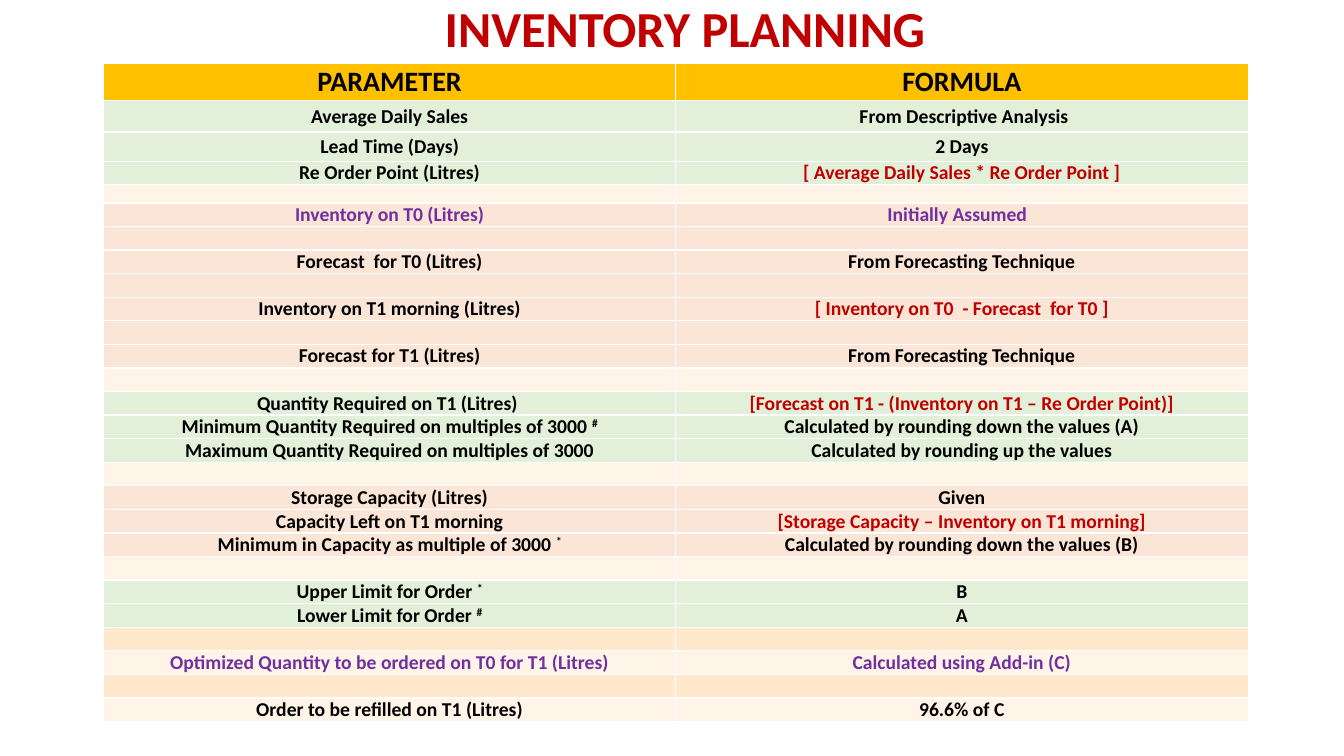
from dataclasses import dataclass

from lxml import etree
from pptx import Presentation
from pptx.dml.color import RGBColor
from pptx.enum.text import MSO_ANCHOR, MSO_AUTO_SIZE, PP_ALIGN
from pptx.oxml.ns import qn
from pptx.util import Inches, Pt

MIDDLE = MSO_ANCHOR.MIDDLE
CENTER = PP_ALIGN.CENTER
GROW = MSO_AUTO_SIZE.SHAPE_TO_FIT_TEXT

BLACK = RGBColor(0x00, 0x00, 0x00)
RED = RGBColor(0xC0, 0x00, 0x00)
PURPLE = RGBColor(0x70, 0x30, 0xA0)
GOLD = RGBColor(0xFF, 0xC0, 0x00)
GREEN = RGBColor(0xE2, 0xF0, 0xD9)
PEACH = RGBColor(0xFB, 0xE5, 0xD6)
CREAM = RGBColor(0xFF, 0xF4, 0xE7)
SAND = RGBColor(0xFF, 0xE8, 0xCC)

FONT = {"name": "Calibri", "bold": True}
CELL = {
    "margin_left": 0,
    "margin_top": 0,
    "margin_right": 0,
    "margin_bottom": 0,
    "vertical_anchor": MIDDLE,
}


@dataclass
class Row:
    fill: RGBColor
    label: str = ""
    rule: str = ""
    ink: RGBColor = BLACK
    rule_ink: RGBColor | None = None
    mark: str = ""
    size: int = 14
    height: float = 0.23


ROWS = [
    Row(GOLD, "PARAMETER", "FORMULA", size=20, height=0.37),
    Row(GREEN, "Average Daily Sales", " From Descriptive Analysis", height=0.31),
    Row(GREEN, "Lead Time (Days)", "2 Days", height=0.29),
    Row(GREEN, "Re Order Point (Litres)", "[ Average Daily Sales * Re Order Point ]", rule_ink=RED),
    Row(CREAM, size=10, height=0.18),
    Row(PEACH, "Inventory on T0 (Litres)", "Initially Assumed  ", PURPLE),
    Row(PEACH),
    Row(PEACH, "Forecast  for T0 (Litres)", "From Forecasting Technique"),
    Row(PEACH),
    Row(PEACH, "Inventory on T1 morning (Litres)", "[ Inventory on T0  - Forecast  for T0 ]", rule_ink=RED),
    Row(PEACH),
    Row(PEACH, "Forecast for T1 (Litres)", "From Forecasting Technique"),
    Row(CREAM),
    Row(
        GREEN,
        "Quantity Required on T1 (Litres) ",
        "[Forecast on T1 - (Inventory on T1 – Re Order Point)]",
        rule_ink=RED,
    ),
    Row(
        GREEN,
        "Minimum Quantity Required on multiples of 3000 ",
        "Calculated by rounding down the values (A)",
        mark="#",
    ),
    Row(GREEN, "Maximum Quantity Required on multiples of 3000", "Calculated by rounding up the values"),
    Row(CREAM),
    Row(PEACH, "Storage Capacity (Litres)", "Given"),
    Row(PEACH, "Capacity Left on T1 morning", "[Storage Capacity – Inventory on T1 morning]", rule_ink=RED),
    Row(PEACH, "Minimum in Capacity as multiple of 3000 ", "Calculated by rounding down the values (B)", mark="*"),
    Row(CREAM),
    Row(GREEN, "Upper Limit for Order ", "B", mark="*"),
    Row(GREEN, "Lower Limit for Order ", "A", mark="#"),
    Row(SAND),
    Row(CREAM, "Optimized Quantity to be ordered on T0 for T1 (Litres)", "Calculated using Add-in (C)", PURPLE),
    Row(SAND),
    Row(CREAM, "Order to be refilled on T1 (Litres)", "96.6% of C"),
]


def add_text(para, text: str, size: int, ink: RGBColor, base: int = 0) -> None:
    para.alignment = CENTER
    run = para.add_run()
    run.text = text
    for key, value in FONT.items():
        setattr(run.font, key, value)
    run.font.size = Pt(size)
    run.font.color.rgb = ink
    if base:
        run.font._element.set("baseline", str(base * 1000))


def add_cell(cell, row: Row, text: str, ink: RGBColor, mark: str = "") -> None:
    for key, value in CELL.items():
        setattr(cell, key, value)
    cell.fill.solid()
    cell.fill.fore_color.rgb = row.fill
    para = cell.text_frame.paragraphs[0]
    if text:
        add_text(para, text, row.size, ink)
    else:
        end = etree.SubElement(para._p, qn("a:endParaRPr"), sz=str(row.size * 100))
        etree.SubElement(end, qn("a:latin"), typeface=FONT["name"])
    if mark:
        add_text(para, mark, row.size, ink, base=30)


def add_title(slide) -> None:
    box = slide.shapes.add_textbox(Inches(1.84), Inches(-0.08), Inches(9.91), Inches(0.71))
    frame = box.text_frame
    frame.word_wrap = True
    frame.auto_size = GROW
    add_text(frame.paragraphs[0], "INVENTORY PLANNING", 36, RED)


def add_plan(slide) -> None:
    height = sum(row.height for row in ROWS)
    frame = slide.shapes.add_table(len(ROWS), 2, Inches(1.03), Inches(0.63), Inches(11.35), Inches(height))
    table = frame.table
    table.horz_banding = False
    for col, width in zip(table.columns, (5.67, 5.68)):
        col.width = Inches(width)
    for i, row in enumerate(ROWS):
        table.rows[i].height = Inches(row.height)
        add_cell(table.cell(i, 0), row, row.label, row.ink, row.mark)
        add_cell(table.cell(i, 1), row, row.rule, row.rule_ink or row.ink)


def main() -> None:
    deck = Presentation()
    deck.slide_width = Inches(13.33)
    deck.slide_height = Inches(7.5)
    slide = deck.slides.add_slide(deck.slide_layouts[6])
    add_title(slide)
    add_plan(slide)
    deck.save("out.pptx")


if __name__ == "__main__":
    main()
